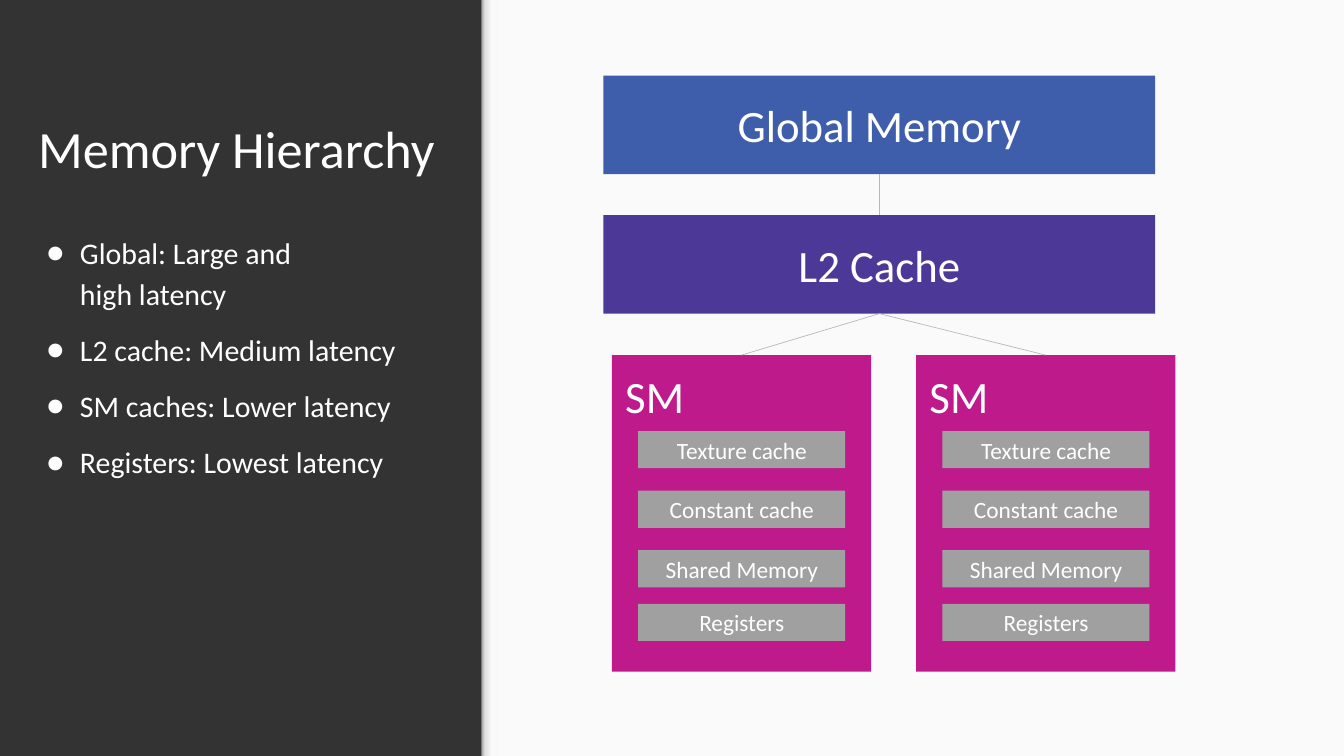
from dataclasses import dataclass

from lxml.etree import SubElement
from pptx import Presentation
from pptx.dml.color import RGBColor as RGB
from pptx.enum.shapes import MSO_CONNECTOR as Connector, MSO_SHAPE as Shape
from pptx.enum.text import MSO_ANCHOR as Anchor, MSO_AUTO_SIZE as AutoSize, PP_ALIGN as Align
from pptx.oxml.ns import qn
from pptx.util import Pt


@dataclass(frozen=True)
class Theme:
    font: str = "Calibri"
    dark: str = "333333"
    panel: str = "FAFAFA"
    text: str = "FFFFFF"
    line: str = "B7B7B7"
    global_memory: str = "3E5DAA"
    l2: str = "4C3896"
    sm: str = "BE1A8C"
    cache: str = "A0A0A0"
    edge: tuple = ((0, "999999"), (20, "DEDEDE"), (64, "F9F9F9"), (100, "F9F9F9"))
    title_size: float = 56
    list_size: float = 32
    block_size: float = 48
    cache_size: float = 25


@dataclass(frozen=True)
class Box:
    left: float
    top: float
    width: float
    height: float

    @property
    def lengths(self) -> list:
        return [Pt(v) for v in (self.left, self.top, self.width, self.height)]


@dataclass(frozen=True)
class Block:
    text: str
    box: Box
    fill: str
    size: float
    inset: tuple = (14.4, 14.4)
    align: Align = Align.CENTER
    anchor: Anchor = Anchor.MIDDLE


T = Theme()
SLIDE_W, SLIDE_H = 1440, 809.6
PANEL_LEFT = 516
TITLE_BOX = Box(26.5, 56.2, 460.8, 149.8)
LIST_BOX = Box(35.3, 230.7, 442, 272)
WIDE_LEFT, WIDE_W, WIDE_H = 646.6, 591.2, 105.4
SM_LEFTS, SM_TOP, SM_W, SM_H = (655.5, 981.5), 380.3, 277.8, 339
CACHE_INDENT, CACHE_W, CACHE_H = 28.3, 221.8, 39.7
CACHES = {
    "Texture cache": 81.4,
    "Constant cache": 145.2,
    "Shared Memory": 208.9,
    "Registers": 266.4,
}
POINTS = [
    "Global: Large and\vhigh latency",
    "L2 cache: Medium latency",
    "SM caches: Lower latency",
    "Registers: Lowest latency",
]


def apply(target, **values) -> None:
    for name, value in values.items():
        setattr(target, name, value)


def set_font(p, size: float) -> None:
    for r in p.runs:
        apply(r.font, name=T.font, size=Pt(size))
        r.font.color.rgb = RGB.from_string(T.text)


def set_frame(tf, anchor: Anchor, inset: tuple) -> None:
    x, y = map(Pt, inset)
    apply(tf, word_wrap=True, auto_size=AutoSize.NONE, vertical_anchor=anchor,
          margin_left=x, margin_right=x, margin_top=y, margin_bottom=y)


def place(sp, box: Box) -> None:
    apply(sp, **dict(zip(("left", "top", "width", "height"), box.lengths)))


def add_rect(s, box: Box, fill: str):
    sp = s.shapes.add_shape(Shape.RECTANGLE, *box.lengths)
    sp.shadow.inherit = False
    sp.fill.solid()
    sp.fill.fore_color.rgb = RGB.from_string(fill)
    sp.line.fill.background()
    return sp


def add_block(s, block: Block):
    sp = add_rect(s, block.box, block.fill)
    tf = sp.text_frame
    set_frame(tf, block.anchor, block.inset)
    p = tf.paragraphs[0]
    p.text, p.alignment = block.text, block.align
    set_font(p, block.size)
    return sp


def add_edge_shadow(s) -> None:
    """Soft shadow falling on the light panel along its left edge."""
    sp = add_rect(s, Box(PANEL_LEFT, 0, 17.3, SLIDE_H), T.panel)
    sp.fill.gradient()
    sp.fill.gradient_angle = 0
    stops = sp.element.spPr.find(".//" + qn("a:gsLst"))
    stops.clear()
    for percent, color in T.edge:
        stop = SubElement(stops, qn("a:gs"), pos=str(percent * 1000))
        SubElement(stop, qn("a:srgbClr"), val=color)


def add_link(s, upper, lower) -> None:
    line = s.shapes.add_connector(Connector.STRAIGHT, 0, 0, 0, 0)
    line.begin_connect(upper, 2)
    line.end_connect(lower, 0)
    line.line.color.rgb = RGB.from_string(T.line)
    line.line.width = Pt(0.75)
    SubElement(line.element.spPr, qn("a:effectLst"))


def add_bullet(p) -> None:
    pPr = p._p.get_or_add_pPr()
    pPr.set("marL", str(Pt(36)))
    pPr.set("indent", str(-Pt(36)))
    color = SubElement(pPr, qn("a:buClr"))
    SubElement(color, qn("a:srgbClr"), val=T.text)
    SubElement(pPr, qn("a:buFont"), typeface=T.font)
    SubElement(pPr, qn("a:buChar"), char="●")


def fill_title(sp) -> None:
    place(sp, TITLE_BOX)
    set_frame(sp.text_frame, Anchor.BOTTOM, (14.4, 14.4))
    p = sp.text_frame.paragraphs[0]
    p.text, p.alignment = "Memory Hierarchy", Align.LEFT
    set_font(p, T.title_size)


def fill_list(sp) -> None:
    place(sp, LIST_BOX)
    tf = sp.text_frame
    set_frame(tf, Anchor.TOP, (14.4, 14.4))
    for i, text in enumerate(POINTS):
        p = tf.add_paragraph() if i else tf.paragraphs[0]
        p.text = text
        add_bullet(p)
        apply(p, line_spacing=1.15, space_before=Pt(0), space_after=Pt(16))
        set_font(p, T.list_size)


def add_sm(s, left: float):
    sm = add_block(s, Block("SM", Box(left, SM_TOP, SM_W, SM_H), T.sm, T.block_size,
                            align=Align.LEFT, anchor=Anchor.TOP))
    for name, offset in CACHES.items():
        box = Box(left + CACHE_INDENT, SM_TOP + offset, CACHE_W, CACHE_H)
        add_block(s, Block(name, box, T.cache, T.cache_size, inset=(7.2, 3.6)))
    return sm


def main() -> None:
    prs = Presentation()
    prs.slide_width, prs.slide_height = Pt(SLIDE_W), Pt(SLIDE_H)
    s = prs.slides.add_slide(prs.slide_layouts[1])
    s.background.fill.solid()
    s.background.fill.fore_color.rgb = RGB.from_string(T.dark)

    fill_title(s.shapes.title)
    fill_list(s.placeholders[1])
    add_rect(s, Box(PANEL_LEFT, 0, SLIDE_W - PANEL_LEFT, SLIDE_H), T.panel)
    add_edge_shadow(s)

    memory, l2 = (
        add_block(s, Block(text, Box(WIDE_LEFT, top, WIDE_W, WIDE_H), fill, T.block_size))
        for text, top, fill in (("Global Memory", 81, T.global_memory),
                                ("L2 Cache", 230.5, T.l2))
    )
    add_link(s, memory, l2)
    for left in SM_LEFTS:
        add_link(s, l2, add_sm(s, left))

    prs.save("out.pptx")


if __name__ == "__main__":
    main()
